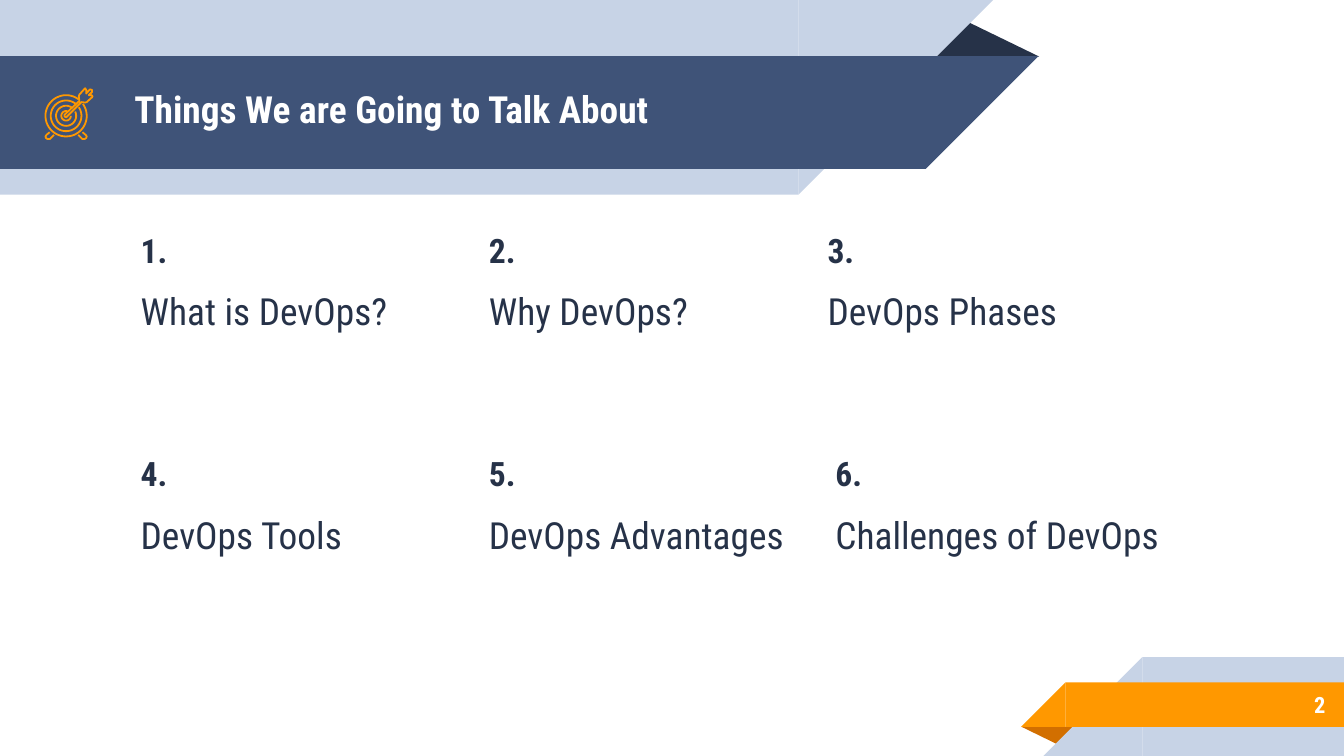
from dataclasses import dataclass
from math import cos, radians, sin

from pptx import Presentation
from pptx.dml.color import RGBColor
from pptx.enum.shapes import MSO_SHAPE
from pptx.enum.text import MSO_ANCHOR, PP_ALIGN
from pptx.util import Cm, Pt


@dataclass(frozen=True)
class Theme:
    font: str = "Roboto Condensed"
    ink: str = "263248"
    navy: str = "3F5378"
    pale: str = "C7D3E6"
    orange: str = "FF9800"
    rust: str = "D26F00"
    white: str = "FFFFFF"
    heading: int = 20
    numeral: int = 18
    topic: int = 20
    page: int = 12


theme = Theme()

deck = Presentation()
deck.slide_width, deck.slide_height = Cm(25.4), Cm(14.29)
slide = deck.slides.add_slide(deck.slide_layouts[6])


def add_outline(points, closed):
    """Draw an orange line through points given in centimetres."""
    grid = [(x * 1000, y * 1000) for x, y in points]
    builder = slide.shapes.build_freeform(*grid[0], scale=Cm(0.001))
    builder.add_line_segments(grid[1:], close=closed)
    outline = builder.convert_to_shape()
    outline.shadow.inherit = False
    outline.fill.background()
    outline.line.color.rgb = RGBColor.from_string(theme.orange)
    outline.line.width = Pt(0.96)


def add_words(box, paragraphs, anchor=MSO_ANCHOR.TOP, align=PP_ALIGN.LEFT):
    """Add a text box; a paragraph is words, size, bold, colour, space before, after."""
    frame = slide.shapes.add_textbox(*map(Cm, box)).text_frame
    frame.word_wrap = True
    frame.vertical_anchor = anchor
    frame.margin_left = frame.margin_right = Cm(0.25)
    frame.margin_top = frame.margin_bottom = Cm(0.25)
    for index, (words, size, bold, color, before, after) in enumerate(paragraphs):
        paragraph = frame.add_paragraph() if index else frame.paragraphs[0]
        paragraph.alignment = align
        paragraph.space_before, paragraph.space_after = Pt(before), Pt(after)
        run = paragraph.add_run()
        run.text = words
        run.font.name, run.font.size, run.font.bold = theme.font, Pt(size), bold
        run.font.color.rgb = RGBColor.from_string(color)


# Ribbons: header at the top left, page tab at the bottom right
FOLD, BAND, SLANT = MSO_SHAPE.ISOSCELES_TRIANGLE, MSO_SHAPE.RECTANGLE, MSO_SHAPE.RIGHT_TRIANGLE
ribbons = [
    # preset, left, top, width, height, rotation, mirrored, colour
    (FOLD, 17.48, 0.36, 2.16, 0.71, 0, False, theme.ink),
    (BAND, 0, 0, 15.09, 3.68, 180, True, theme.pale),
    (SLANT, 15.09, 0, 3.68, 3.68, 180, True, theme.pale),
    (BAND, 0, 1.06, 17.5, 2.13, 180, True, theme.navy),
    (SLANT, 17.5, 1.06, 2.13, 2.13, 180, True, theme.navy),
    (FOLD, 19.31, 13.74, 1.09, 0.36, 180, False, theme.rust),
    (BAND, 21.59, 12.42, 3.81, 1.87, 0, True, theme.pale),
    (SLANT, 19.72, 12.42, 1.87, 1.87, 0, True, theme.pale),
    (BAND, 20.14, 12.9, 5.26, 0.84, 0, True, theme.orange),
    (SLANT, 19.3, 12.9, 0.84, 0.84, 0, True, theme.orange),
]
for preset, left, top, width, height, rotation, mirrored, color in ribbons:
    ribbon = slide.shapes.add_shape(preset, Cm(left), Cm(top), Cm(width), Cm(height))
    ribbon.shadow.inherit = False
    ribbon.fill.solid()
    ribbon.fill.fore_color.rgb = RGBColor.from_string(color)
    ribbon.line.fill.background()
    ribbon.rotation = rotation
    if preset == FOLD:
        ribbon.adjustments[0] = 0.324
    if mirrored:
        ribbon.element.spPr.xfrm.set("flipH", "1")

# Title
add_words((2.29, 0.99, 14.6, 2.13),
          [("Things We are Going to Talk About", theme.heading, True, theme.white, 0, 0)],
          anchor=MSO_ANCHOR.MIDDLE)

# Topics: three columns, two rows; the last one is set wider
topics = ["What is DevOps?", "Why DevOps?", "DevOps Phases",
          "DevOps Tools", "DevOps Advantages", "Challenges of DevOps"]
column_lefts = [[2.41, 8.99, 15.39], [2.41, 8.99, 15.54]]
for index, topic in enumerate(topics):
    row, column = divmod(index, 3)
    width = 6.99 if index == len(topics) - 1 else 6.25
    add_words((column_lefts[row][column], 4.09 + 4.22 * row, width, 4.22),
              [(f"{index + 1}.", theme.numeral, True, theme.ink, 6, 0),
               (topic, theme.topic, False, theme.ink, 10, 10)])

# Page number
add_words((21.16, 12.88, 4.14, 0.89), [("2", theme.page, True, theme.white, 0, 0)],
          anchor=MSO_ANCHOR.MIDDLE, align=PP_ALIGN.RIGHT)

# Target icon: rings left open where the dart passes
center_x, center_y = 1.25, 2.19
for radius, start, end in [(0.39, 53, 395), (0.29, 52, 394), (0.19, 56, 385), (0.09, 75, 360)]:
    angles = [radians(start + (end - start) * step / 60) for step in range(61)]
    add_outline([(center_x + radius * cos(a), center_y - radius * sin(a)) for a in angles], False)

# Target icon: feet, the right one mirroring the left
foot = [(0.94, 2.5), (0.88, 2.55), (0.86, 2.58), (0.87, 2.61),
        (0.9, 2.63), (0.94, 2.63), (0.96, 2.61), (1.02, 2.55)]
add_outline(foot, False)
add_outline([(2 * center_x - x, y) for x, y in foot], False)

# Target icon: dart
dart = [(1.73, 1.8), (1.68, 1.8), (1.74, 1.74), (1.74, 1.7), (1.7, 1.69), (1.63, 1.77),
        (1.63, 1.7), (1.61, 1.67), (1.59, 1.69), (1.5, 1.79), (1.49, 1.82), (1.5, 1.91),
        (1.22, 2.17), (1.22, 2.2), (1.25, 2.22), (1.27, 2.2), (1.54, 1.93), (1.61, 1.94),
        (1.64, 1.93), (1.74, 1.84), (1.75, 1.82)]
add_outline(dart, True)

deck.save("out.pptx")
